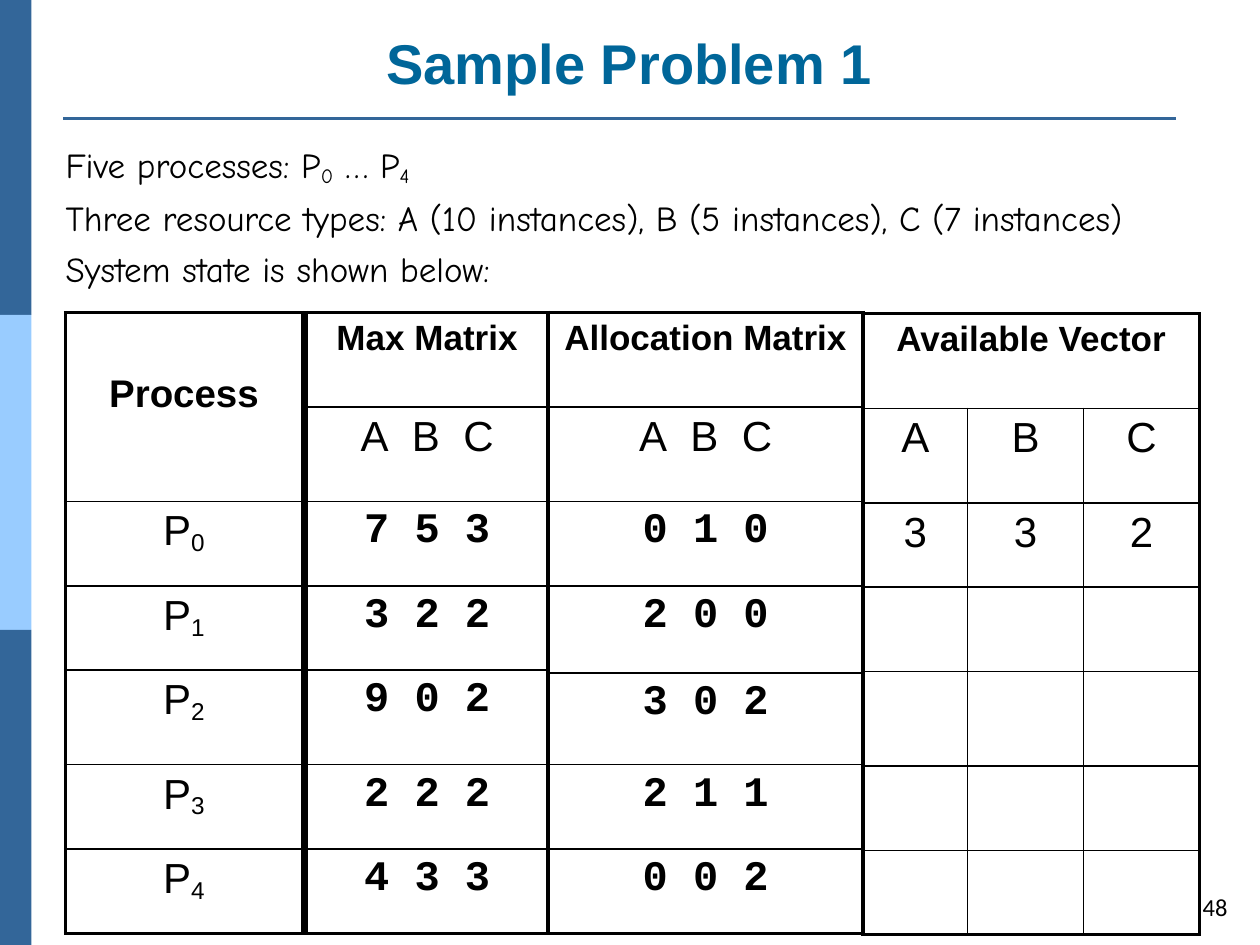
"""Build the slide with a process state table for a sample problem."""
import pptx
import pptx.util
import pptx.dml.color
import pptx.enum.shapes
import pptx.enum.text
import pptx.oxml.ns
import lxml.etree

Inches, Pt = pptx.util.Inches, pptx.util.Pt
Align, Anchor = pptx.enum.text.PP_ALIGN, pptx.enum.text.MSO_ANCHOR
qn = pptx.oxml.ns.qn

HUES = {"blue": "336699", "sky": "99CCFF", "title": "006699", "ink": "000000"}
WIDE, HIGH = 10, 7.5
THICK, THIN = 2.25, 1
TITLE = "Sample Problem 1"
BODY = [
    "Five processes: P_0 … P_4",
    "Three resource types: A (10 instances), B (5 instances), C (7 instances)",
    "System state is shown below:",
]
STYLES = {
    "name": (22, "Arial", True),
    "head": (20, "Arial", True),
    "plain": (24, "Arial", False),
    "code": (24, "Courier New", True),
}
ROWS = [0.75, 0.75, 0.67, 0.67, 0.75, 0.67, 0.67]
ALLOC = ROWS[:3] + [0.69, 0.73] + ROWS[5:]
TABLES = [
    {"at": (0.52, 2.48), "cols": [1.88], "rows": [1.5] + ROWS[2:],
     "head": "name", "data": "plain",
     "cells": [["Process"], ["P_0"], ["P_1"], ["P_2"], ["P_3"], ["P_4"]]},
    {"at": (6.85, 2.49), "cols": [0.83, 0.92, 0.92], "rows": ROWS,
     "head": "head", "data": "plain",
     "cells": [["Available Vector"], ["A", "B", "C"], ["3", "3", "2"]]},
    {"at": (4.35, 2.48), "cols": [2.5], "rows": ALLOC,
     "head": "head", "data": "code",
     "cells": [["Allocation Matrix"], ["A B C"], ["0 1 0"], ["2 0 0"],
               ["3 0 2"], ["2 1 1"], ["0 0 2"]]},
    {"at": (2.43, 2.48), "cols": [1.92], "rows": ROWS,
     "head": "head", "data": "code",
     "cells": [["Max Matrix"], ["A B C"], ["7 5 3"], ["3 2 2"],
               ["9 0 2"], ["2 2 2"], ["4 3 3"]]},
]


def hue(name):
    return pptx.dml.color.RGBColor.from_string(HUES[name])


def place(shape, left, top, width, height):
    shape.left, shape.top = Inches(left), Inches(top)
    shape.width, shape.height = Inches(width), Inches(height)


def add_run(par, text, size, font, bold=False, color="ink"):
    run = par.add_run()
    run.text = text
    run.font.size, run.font.name, run.font.bold = Pt(size), font, bold
    run.font.color.rgb = hue(color)
    return run.font._element if hasattr(run.font, "_element") else run._r.get_or_add_rPr()


def write(par, text, size, font, bold=False, color="ink"):
    first, *rest = text.split("_")
    add_run(par, first, size, font, bold, color)
    for part in rest:
        add_run(par, part[0], size, font, bold, color).set("baseline", "-14000")
        if part[1:]:
            add_run(par, part[1:], size, font, bold, color)


def write_wide(par, text, size, font, bold):
    for mark in text:
        props = add_run(par, mark, size, font, bold)
        if mark == " ":
            props.set("spc", "667")


def edge(cell, side, width):
    props = cell._tc.get_or_add_tcPr()
    line = lxml.etree.SubElement(props, qn("a:ln" + side), w=str(Pt(width)))
    fill = lxml.etree.SubElement(line, qn("a:solidFill"))
    lxml.etree.SubElement(fill, qn("a:srgbClr"), val=HUES["ink"])


def add_grid(slide, item):
    cols, rows, cells = item["cols"], item["rows"], item["cells"]
    left, top = item["at"]
    grid = slide.shapes.add_table(
        len(rows), len(cols), Inches(left), Inches(top),
        Inches(sum(cols)), Inches(sum(rows))).table
    grid.first_row = grid.horz_banding = False
    for col, width in zip(grid.columns, cols):
        col.width = Inches(width)
    for row, height in zip(grid.rows, rows):
        row.height = Inches(height)
    if len(cols) > 1:
        grid.cell(0, 0).merge(grid.cell(0, len(cols) - 1))
    for r in range(len(rows)):
        for c in range(len(cols)):
            cell = grid.cell(r, c)
            if cell.is_spanned:
                continue
            span = cell.span_width if cell.is_merge_origin else 1
            outer = {"L": c == 0, "R": c + span == len(cols),
                     "T": r == 0, "B": r == len(rows) - 1}
            for side, out in outer.items():
                edge(cell, side, THICK if out else THIN)
            cell.fill.background()
            if r < len(cells) and c < len(cells[r]):
                fill_cell(cell, cells[r][c], item, r)


def fill_cell(cell, text, item, r):
    par = cell.text_frame.paragraphs[0]
    par.alignment = Align.CENTER
    if r == 0:
        write(par, text, *STYLES[item["head"]])
        if item["head"] == "name":
            cell.margin_top = Inches(0.48)
    elif text == "A B C":
        write_wide(par, text, *STYLES["plain"])
    else:
        write(par, text, *STYLES[item["data"]])


def add_frame(slide):
    third = HIGH / 3
    for n, name in enumerate(["blue", "sky", "blue"]):
        bar = slide.shapes.add_shape(
            pptx.enum.shapes.MSO_SHAPE.RECTANGLE, 0, Inches(n * third),
            Inches(WIDE / 40), Inches(third))
        bar.shadow.inherit = False
        bar.fill.solid()
        bar.fill.fore_color.rgb = hue(name)
        bar.line.fill.background()
    rule = slide.shapes.add_connector(
        pptx.enum.shapes.MSO_CONNECTOR.STRAIGHT,
        Inches(0.5), Inches(0.94), Inches(9.33), Inches(0.94))
    rule.line.color.rgb = hue("blue")
    rule.line.width = Pt(1.5)
    lxml.etree.SubElement(rule._element.spPr, qn("a:effectLst"))


def add_text(slide):
    title, body = slide.shapes.title, slide.placeholders[1]
    place(title, 0.33, 0, 9.33, 0.81)
    place(body, 0.42, 1.09, 9.51, 1.16)
    for shape in (title, body):
        shape.text_frame.auto_size = pptx.enum.text.MSO_AUTO_SIZE.NONE
    title.text_frame.vertical_anchor = Anchor.BOTTOM
    par = title.text_frame.paragraphs[0]
    par.alignment = Align.CENTER
    write(par, TITLE, 32, "Arial", True, "title")
    frame = body.text_frame
    for n, text in enumerate(BODY):
        par = frame.add_paragraph() if n else frame.paragraphs[0]
        props = par._p.get_or_add_pPr()
        props.set("marL", "0")
        props.set("indent", "0")
        lxml.etree.SubElement(props, qn("a:buNone"))
        par.space_before = Pt(5 if n else 0)
        write(par, text, 20, "Comic Neue")


def add_number(slide):
    box = slide.shapes.add_textbox(0, 0, 0, 0)
    place(box, 9.39, 6.99, 0.45, 0.41)
    box.text_frame.word_wrap = True
    box.text_frame.vertical_anchor = Anchor.MIDDLE
    par = box.text_frame.paragraphs[0]
    par.alignment = Align.RIGHT
    write(par, "48", 14, "Calibri")


def main():
    deck = pptx.Presentation()
    deck.slide_width, deck.slide_height = Inches(WIDE), Inches(HIGH)
    slide = deck.slides.add_slide(deck.slide_layouts[1])
    add_frame(slide)
    add_text(slide)
    for item in TABLES:
        add_grid(slide, item)
    add_number(slide)
    deck.save("out.pptx")


if __name__ == "__main__":
    main()
